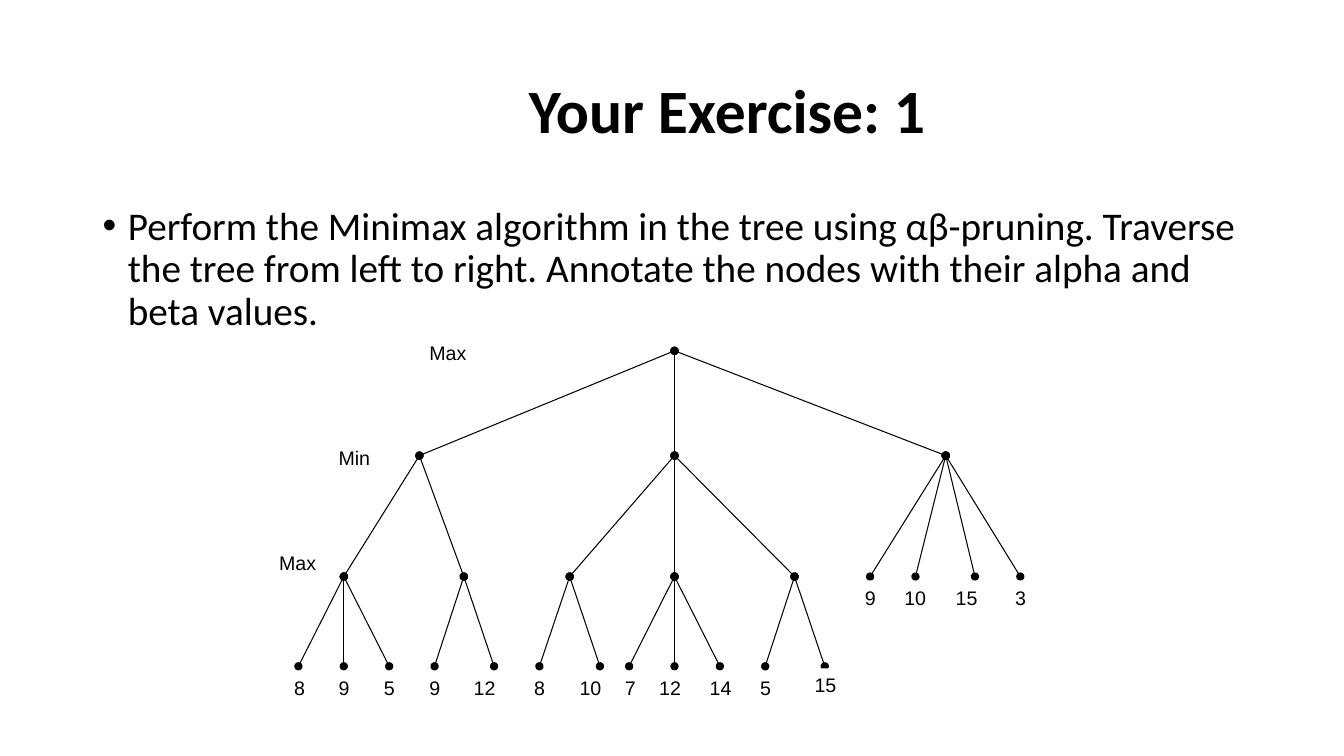
from lxml import etree
from pptx import Presentation
from pptx.dml.color import RGBColor
from pptx.enum.shapes import MSO_CONNECTOR, MSO_SHAPE
from pptx.enum.text import MSO_ANCHOR, MSO_AUTO_SIZE, PP_ALIGN
from pptx.oxml.ns import qn
from pptx.util import Pt

PX = 9144  # 100 px to the inch
BLACK = RGBColor(0, 0, 0)
WHITE = RGBColor(255, 255, 255)
STRAIGHT = MSO_CONNECTOR.STRAIGHT
RECT = MSO_SHAPE.RECTANGLE
TOP, MIDDLE = MSO_ANCHOR.TOP, MSO_ANCHOR.MIDDLE
LEFT, CENTER = PP_ALIGN.LEFT, PP_ALIGN.CENTER
NO_FIT = MSO_AUTO_SIZE.NONE


def box(*lengths):
    return [n * PX for n in lengths]


def write(sp, text, size, font, align, anchor, bold=False):
    tf = sp.text_frame
    tf.word_wrap = True
    tf.auto_size = NO_FIT
    tf.vertical_anchor = anchor
    p = tf.paragraphs[0]
    p.alignment = align
    r = p.add_run()
    r.text = text
    r.font.size = Pt(size)
    r.font.name = font
    r.font.bold = bold
    r.font.color.rgb = BLACK
    return p


prs = Presentation()
prs.slide_width, prs.slide_height = box(1333, 750)
s = prs.slides.add_slide(prs.slide_layouts[5])

# Title
title = s.shapes.title
title.left, title.top, title.width, title.height = box(201, 40, 1041, 145)
p = write(title, "Your Exercise: 1", 44, "Calibri", CENTER, MIDDLE, bold=True)
p.line_spacing = 0.9

# Task
task = s.shapes.add_textbox(*box(92, 200, 1150, 476))
p = write(task, "Perform the Minimax algorithm in the tree using αβ-pruning. "
          "Traverse the tree from left to right. Annotate the nodes with "
          "their alpha and beta values.", 28, "Calibri", LEFT, TOP)
p.line_spacing = 0.9
pPr = p._p.get_or_add_pPr()
pPr.set("marL", str(25 * PX))
pPr.set("indent", str(-25 * PX))
etree.SubElement(pPr, qn("a:buFont")).set("typeface", "Arial")
etree.SubElement(pPr, qn("a:buChar")).set("char", "•")

# Tree: (depth, parent x, child xs)
LEVEL_Y = [348, 452, 572, 661]
BRANCHES = [
    (0, 669, [416, 669, 938]),
    (1, 416, [341, 460]),
    (1, 669, [565, 669, 788]),
    (1, 938, [863, 908, 967, 1012]),
    (2, 341, [296, 341, 386]),
    (2, 460, [431, 490]),
    (2, 565, [535, 595]),
    (2, 669, [624, 669, 714]),
    (2, 788, [759, 818]),
]
for depth, x, children in BRANCHES:
    for child_x in children:
        edge = s.shapes.add_connector(
            STRAIGHT, *box(x, LEVEL_Y[depth], child_x, LEVEL_Y[depth + 1]))
        edge.line.color.rgb = BLACK
        edge.line.width = Pt(0.75)
        ln = edge.line._get_or_add_ln()
        for end in ("a:headEnd", "a:tailEnd"):
            etree.SubElement(ln, qn(end)).set("type", "oval")
        etree.SubElement(edge._element.spPr, qn("a:effectLst"))

# Player names and leaf values: (text, left, top, width)
LABELS = [
    ("Max", 416, 333, 60), ("Min", 326, 437, 60), ("Max", 267, 542, 60),
    ("8", 282, 666, 30), ("9", 326, 666, 30), ("5", 371, 666, 30),
    ("9", 416, 666, 45), ("12", 460, 666, 75), ("8", 520, 666, 30),
    ("10", 565, 666, 75), ("7", 610, 666, 30), ("12", 644, 666, 53),
    ("14", 694, 666, 45), ("5", 744, 666, 45), ("15", 798, 663, 45),
    ("9", 848, 576, 30), ("10", 887, 576, 45), ("15", 938, 576, 45),
    ("3", 997, 576, 30),
]
for text, left, top, width in LABELS:
    label = s.shapes.add_shape(RECT, *box(left, top, width, 30))
    label.shadow.inherit = False
    label.fill.solid()
    label.fill.fore_color.rgb = WHITE
    label.line.fill.background()
    write(label, text, 14, "Arial", LEFT, TOP)

prs.save("out.pptx")
